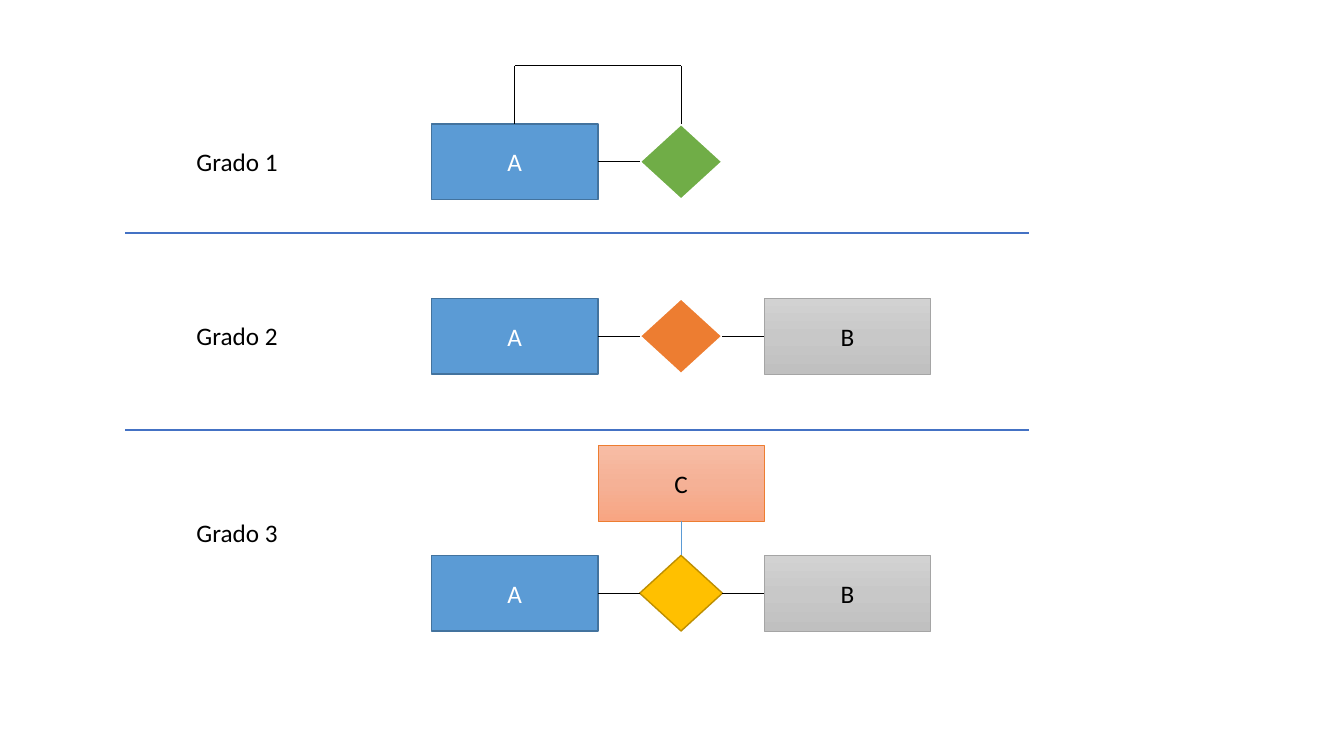
"""Build a slide of relationship degrees: unary, binary and ternary."""
from copy import deepcopy
from pptx import Presentation
from pptx.dml.color import RGBColor
from pptx.enum.shapes import MSO_CONNECTOR, MSO_SHAPE
from pptx.enum.text import MSO_ANCHOR, MSO_AUTO_SIZE, PP_ALIGN
from pptx.oxml.ns import qn
from pptx.oxml.xmlchemy import OxmlElement
from pptx.util import Inches, Pt

COLORS = {
    "white": "FFFFFF", "black": "000000", "blue": "5B9BD5", "navy": "43739E",
    "green": "70AD47", "orange": "ED7D31", "gold": "FFC000", "brown": "BD8E00",
    "gray": "A5A5A5", "rule": "4472C4",
}
FADES = {
    "gray": ("D2D2D2", "C8C8C8", "C0C0C0"),
    "orange": ("F7BDA5", "F5B196", "F8A582"),
}
ROWS = [
    {"label": "Grado 1", "text_y": 1.4, "top": 1.23, "gem": ("green", "white", 1.5), "pair": False},
    {"label": "Grado 2", "text_y": 3.13, "top": 2.96, "gem": ("orange", "white", 1.5), "pair": True},
    {"label": "Grado 3", "text_y": 5.08, "top": 5.51, "gem": ("gold", "brown", 1), "pair": True},
]
RULES = [2.31, 4.27]
BOX_W, BOX_H, GEM_W = 1.65, 0.75, 0.82
LEFT_A = 4.28
LEFT_C = LEFT_A + BOX_W
LEFT_B = LEFT_C + BOX_W
MID_A = LEFT_A + BOX_W / 2
MID_GEM = LEFT_C + BOX_W / 2
GEM_L, GEM_R = MID_GEM - GEM_W / 2, MID_GEM + GEM_W / 2
LOOP_Y, TOP_C = 0.65, 4.42


def rgb(name):
    return RGBColor.from_string(COLORS[name])


def write(shape, text, color):
    frame = shape.text_frame
    frame.text = text
    frame.word_wrap = True
    font = frame.paragraphs[0].runs[0].font
    font.name, font.size, font.color.rgb = "Calibri", Pt(18), rgb(color)
    return frame


def draw(kind, left, top, width, line, weight):
    shape = slide.shapes.add_shape(kind, Inches(left), Inches(top), Inches(width), Inches(BOX_H))
    shape.shadow.inherit = False
    shape.line.color.rgb, shape.line.width = rgb(line), Pt(weight)
    return shape


def paint(shape, color):
    shape.fill.solid()
    shape.fill.fore_color.rgb = rgb(color)


def fade(shape, tones):
    shape.fill.gradient()
    shape.fill.gradient_angle = 270
    first = shape.element.spPr.find(".//" + qn("a:gs"))
    first.addnext(deepcopy(first))
    for stop, tone, place in zip(shape.fill.gradient_stops, tones, (0, 0.5, 1)):
        stop.color.rgb, stop.position = RGBColor.from_string(tone), place


def add_box(text, left, top, line, weight, ink):
    box = draw(MSO_SHAPE.RECTANGLE, left, top, BOX_W, line, weight)
    frame = write(box, text, ink)
    frame.vertical_anchor = MSO_ANCHOR.MIDDLE
    frame.paragraphs[0].alignment = PP_ALIGN.CENTER
    return box


def link(start, end, color="black", weight=0.5):
    ends = [Inches(n) for n in (*start, *end)]
    line = slide.shapes.add_connector(MSO_CONNECTOR.STRAIGHT, *ends)
    line.line.color.rgb, line.line.width = rgb(color), Pt(weight)
    line.element.spPr.append(OxmlElement("a:effectLst"))


def add_row(row):
    top = row["top"]
    mid = top + BOX_H / 2
    paint(add_box("A", LEFT_A, top, "navy", 1, "white"), "blue")
    fill, edge, weight = row["gem"]
    paint(draw(MSO_SHAPE.DIAMOND, GEM_L, top, GEM_W, edge, weight), fill)
    link((LEFT_C, mid), (GEM_L, mid))
    if row["pair"]:
        fade(add_box("B", LEFT_B, top, "gray", 0.5, "black"), FADES["gray"])
        link((GEM_R, mid), (LEFT_B, mid))
    note = slide.shapes.add_textbox(Inches(1.85), Inches(row["text_y"]), Inches(2.23), Inches(0.4))
    write(note, row["label"], "black").auto_size = MSO_AUTO_SIZE.SHAPE_TO_FIT_TEXT


deck = Presentation()
deck.slide_width, deck.slide_height = Inches(13.33), Inches(7.5)
slide = deck.slides.add_slide(deck.slide_layouts[6])

for row in ROWS:
    add_row(row)

top = ROWS[0]["top"]
loop = [(MID_GEM, top), (MID_GEM, LOOP_Y), (MID_A, LOOP_Y), (MID_A, top)]
for start, end in zip(loop, loop[1:]):
    link(start, end)

fade(add_box("C", LEFT_C, TOP_C, "orange", 0.5, "black"), FADES["orange"])
link((MID_GEM, TOP_C + BOX_H), (MID_GEM, ROWS[2]["top"]), "blue")

for y in RULES:
    link((1.24, y), (10.21, y), "rule", 1.5)

deck.save("out.pptx")
